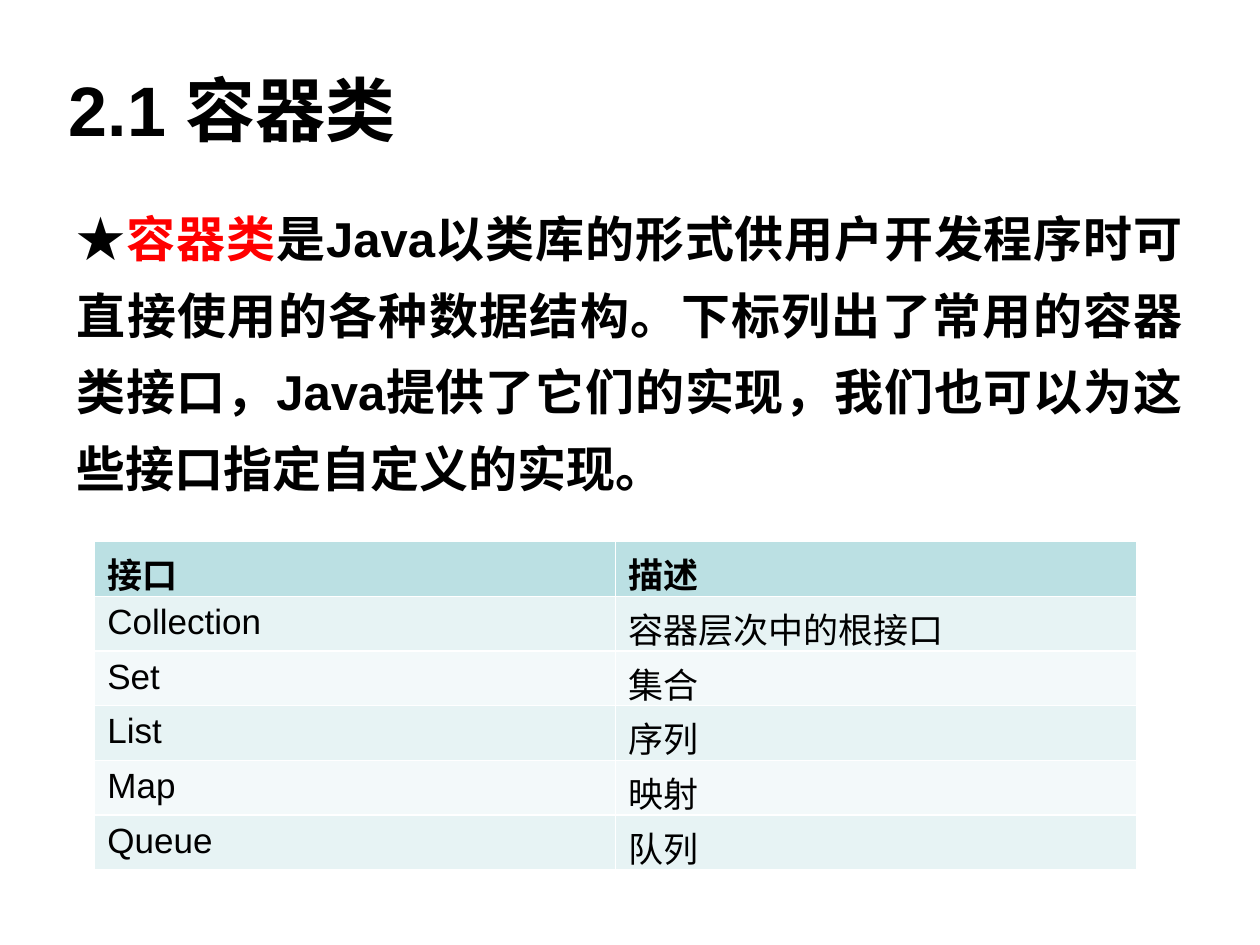
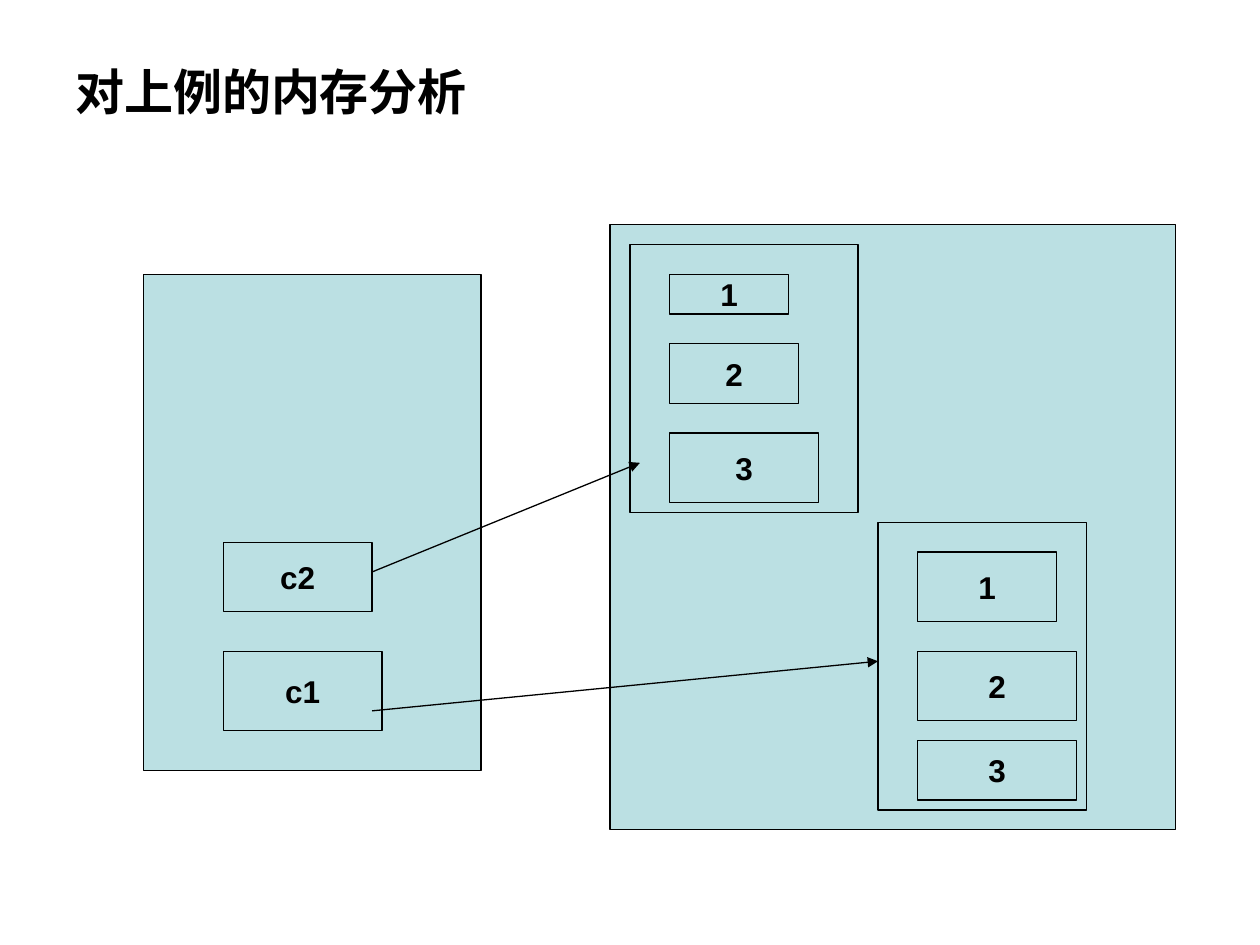
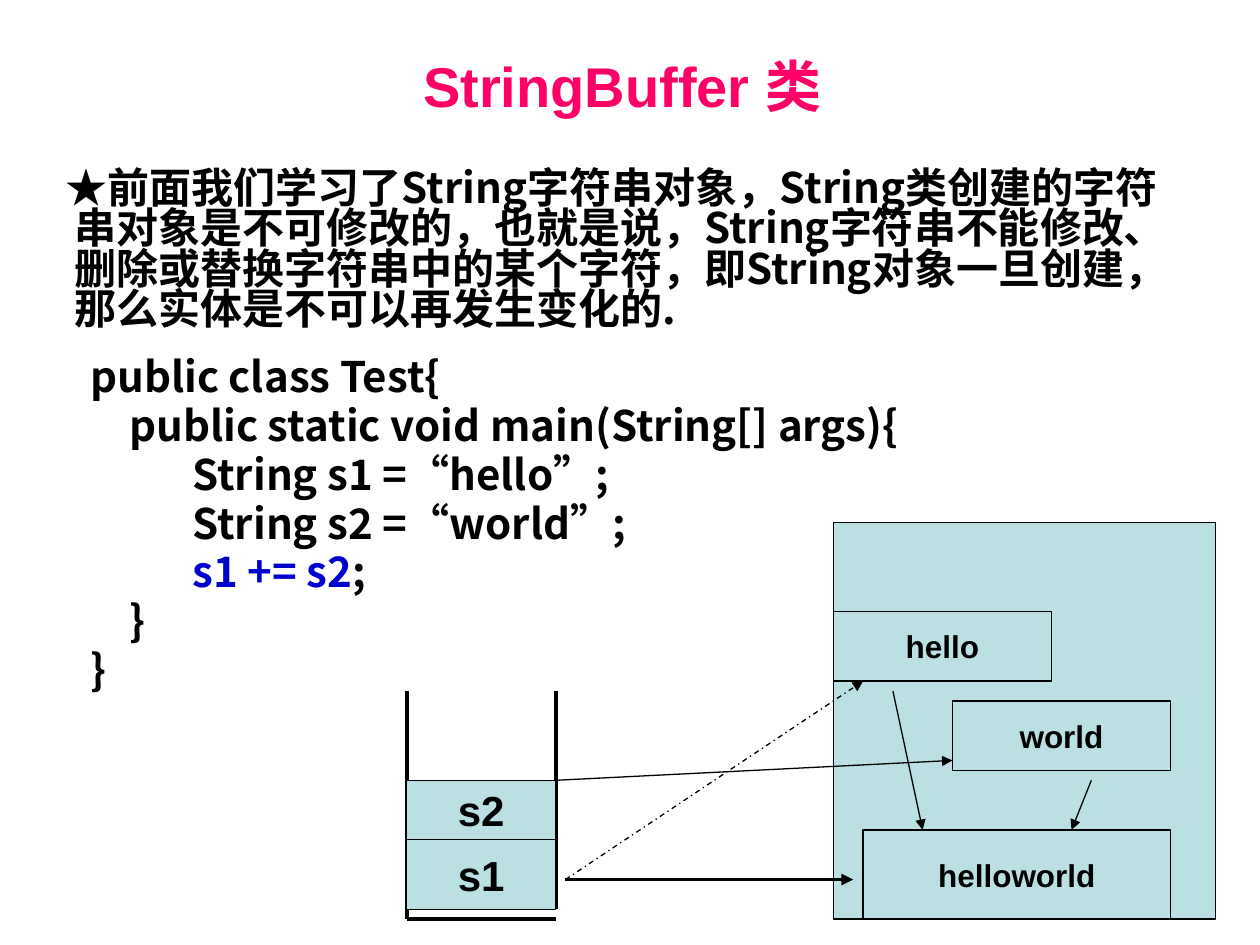
from lxml import etree
from pptx import Presentation
from pptx.dml.color import RGBColor
from pptx.enum.dml import MSO_LINE
from pptx.enum.shapes import MSO_CONNECTOR, MSO_SHAPE
from pptx.enum.text import MSO_ANCHOR, PP_ALIGN
from pptx.oxml.ns import qn
from pptx.util import Cm, Pt

BLACK = RGBColor(0x00, 0x00, 0x00)
RED = RGBColor(0xFF, 0x00, 0x00)
PINK = RGBColor(0xFF, 0x00, 0x66)
BLUE = RGBColor(0x00, 0x00, 0xCC)
TEAL = RGBColor(0xBB, 0xE0, 0xE3)
BAND_DARK = RGBColor(0xE7, 0xF3, 0xF4)
BAND_LIGHT = RGBColor(0xF3, 0xF9, 0xFA)

LATIN_FONT = "Arial"
CJK_FONT = "Noto Sans CJK SC"
THIN, THICK = Pt(0.75), Pt(2.25)

LEFT, CENTER, JUSTIFY = PP_ALIGN.LEFT, PP_ALIGN.CENTER, PP_ALIGN.JUSTIFY
TOP, MIDDLE = MSO_ANCHOR.TOP, MSO_ANCHOR.MIDDLE
RECTANGLE = MSO_SHAPE.RECTANGLE
STRAIGHT = MSO_CONNECTOR.STRAIGHT
DASH_DOT = MSO_LINE.DASH_DOT

INTERFACES = [
    ("接口", "描述"),
    ("Collection", "容器层次中的根接口"),
    ("Set", "集合"),
    ("List", "序列"),
    ("Map", "映射"),
    ("Queue", "队列"),
]

CODE_LINES = [
    [("public class Test{", BLACK)],
    [("\tpublic static void main(String[] args){", BLACK)],
    [("\t\tString s1 =“hello”;", BLACK)],
    [("\t\tString s2 =“world”;", BLACK)],
    [("\t\t", BLACK), ("s1 += s2", BLUE), (";", BLACK)],
    [("\t}", BLACK)],
    [("}", BLACK)],
]


def style_run(run, size, color=BLACK, bold=True, font=LATIN_FONT):
    run.font.size = Pt(size)
    run.font.bold = bold
    run.font.color.rgb = color
    run.font.name = font
    east_asian = etree.SubElement(run.font._element, qn("a:ea"))
    east_asian.set("typeface", CJK_FONT)


def add_run(paragraph, text, *style, **options):
    run = paragraph.add_run()
    run.text = text
    style_run(run, *style, **options)


def set_indent(paragraph, margin, first_line):
    properties = paragraph._p.get_or_add_pPr()
    properties.set("marL", str(Cm(margin)))
    properties.set("indent", str(Cm(first_line)))


def add_frame(slide, box, anchor=TOP):
    frame = slide.shapes.add_textbox(*map(Cm, box)).text_frame
    frame.word_wrap = True
    frame.vertical_anchor = anchor
    return frame


def add_title(slide, box, text, size, color=BLACK, align=LEFT):
    heading = add_frame(slide, box, MIDDLE).paragraphs[0]
    heading.text = text
    heading.alignment = align
    style_run(heading.runs[0], size, color)


def add_cell(slide, box, label="", size=18):
    """Draw one memory region, with its label in the middle."""
    cell = slide.shapes.add_shape(RECTANGLE, *map(Cm, box))
    cell.shadow.inherit = False
    cell.fill.solid()
    cell.fill.fore_color.rgb = TEAL
    cell.line.color.rgb = BLACK
    cell.line.width = THIN
    if label:
        frame = cell.text_frame
        frame.word_wrap = False
        frame.vertical_anchor = MIDDLE
        frame.text = label
        frame.paragraphs[0].alignment = CENTER
        style_run(frame.paragraphs[0].runs[0], size)


def add_line(slide, start, end, width=THIN, dash=None):
    line = slide.shapes.add_connector(STRAIGHT, *map(Cm, start + end))
    line.line.color.rgb = BLACK
    line.line.width = width
    if dash:
        line.line.dash_style = dash
    etree.SubElement(line._element.spPr, qn("a:effectLst"))
    return line


def add_arrow(slide, start, end, **options):
    arrow = add_line(slide, start, end, **options)
    head = etree.SubElement(arrow.line._get_or_add_ln(), qn("a:tailEnd"))
    head.set("type", "triangle")


def add_interface_table(slide, box):
    table = slide.shapes.add_table(len(INTERFACES), 2, *map(Cm, box)).table
    for row, texts in enumerate(INTERFACES):
        band = TEAL if row == 0 else BAND_DARK if row % 2 else BAND_LIGHT
        for column, text in enumerate(texts):
            cell = table.cell(row, column)
            cell.fill.solid()
            cell.fill.fore_color.rgb = band
            cell.text = text
            style_run(cell.text_frame.paragraphs[0].runs[0], 20, bold=row == 0)


def add_container_intro(slide, box):
    intro = add_frame(slide, box).paragraphs[0]
    intro.alignment = JUSTIFY
    intro.line_spacing = 1.3
    add_run(intro, "★", 28, bold=False)
    add_run(intro, "容器类", 28, RED)
    add_run(intro, "是Java以类库的形式供用户开发程序时可直接使用的各种数据结构。"
            "下标列出了常用的容器类接口，Java提供了它们的实现，"
            "我们也可以为这些接口指定自定义的实现。", 28)


def add_collection(slide, box, elements):
    """Draw a collection object; elements are (label, top, width, height)."""
    left, top = box[:2]
    add_cell(slide, box)
    for label, offset, width, height in elements:
        add_cell(slide, (left + 0.8, top + offset, width, height), label)


def add_collection_memory(slide, box):
    left, top = box[:2]
    add_cell(slide, (left, top + 1, 6.8, 10))
    add_cell(slide, (left + 9.4, top, 11.4, 12.2))
    add_cell(slide, (left + 1.6, top + 6.4, 3, 1.4), "c2")
    add_cell(slide, (left + 1.6, top + 8.6, 3.2, 1.6), "c1")
    add_collection(slide, (left + 9.8, top + 0.4, 4.6, 5.4),
                   [("1", 0.6, 2.4, 0.8), ("2", 2, 2.6, 1.2), ("3", 3.8, 3, 1.4)])
    add_collection(slide, (left + 14.8, top + 6, 4.2, 5.8),
                   [("1", 0.6, 2.8, 1.4), ("2", 2.6, 3.2, 1.4), ("3", 4.4, 3.2, 1.2)])
    add_arrow(slide, (left + 4.6, top + 7), (left + 10, top + 4.8))
    add_arrow(slide, (left + 4.6, top + 9.8), (left + 14.8, top + 8.8))


def add_string_explanation(slide, box):
    frame = add_frame(slide, box)
    intro = frame.paragraphs[0]
    intro.line_spacing = 0.8
    set_indent(intro, 0.95, -0.17)
    add_run(intro, "★", 24, bold=False)
    add_run(intro, "前面我们学习了String字符串对象，String类创建的字符串对象是不可修改的，"
            "也就是说，String字符串不能修改、删除或替换字符串中的某个字符，"
            "即String对象一旦创建，那么实体是不可以再发生变化的.", 24, font=CJK_FONT)
    for number, pieces in enumerate(CODE_LINES):
        code = frame.add_paragraph()
        code.line_spacing = 0.8
        code.space_before = Pt(4.8 if number else 16)
        set_indent(code, 2.06, -0.79)
        for text, color in pieces:
            add_run(code, text, 24, color, font=CJK_FONT)


def add_stack(slide, box):
    left, top, width, height = box
    right, bottom = left + width, top + height
    add_line(slide, (left, bottom), (right, bottom), width=THICK)
    add_line(slide, (left, top), (left, bottom), width=THICK)
    add_line(slide, (right, top), (right, bottom - 0.2), width=THICK)
    add_cell(slide, (left, top + 1.8, width, 1.2), "s2", 24)
    add_cell(slide, (left, top + 3, width, 1.4), "s1", 24)


def add_heap(slide, box):
    left, top = box[:2]
    add_cell(slide, box)
    add_cell(slide, (left, top + 1.8, 4.4, 1.4), "hello")
    add_cell(slide, (left + 2.4, top + 3.6, 4.4, 1.4), "world")
    add_cell(slide, (left + 0.6, top + 6.2, 6.2, 1.8), "helloworld")


def add_string_memory(slide, box):
    left, top = box[:2]
    add_heap(slide, (left + 8.6, top, 7.7, 8))
    add_stack(slide, (left, top + 3.4, 3, 4.6))
    s1_exit = (left + 3.2, top + 7.2)
    add_arrow(slide, s1_exit, (left + 9.2, top + 3.2), dash=DASH_DOT)
    add_arrow(slide, (left + 3, top + 5.2), (left + 11, top + 4.8))
    add_arrow(slide, (left + 9.8, top + 3.4), (left + 10.4, top + 6.2))
    add_arrow(slide, (left + 13.8, top + 5.2), (left + 13.4, top + 6.2))
    add_arrow(slide, s1_exit, (left + 9, top + 7.2), width=THICK)


def build_container_slide(slide):
    add_title(slide, (1.14, 0.91, 12.4, 2.54), "2.1 容器类", 40)
    add_container_intro(slide, (1.3, 3.73, 22.8, 6.25))
    add_interface_table(slide, (1.91, 10.92, 21, 6.6))


def build_memory_slide(slide):
    add_title(slide, (1.27, 0.76, 22.86, 2.16), "对上例的内存分析", 28)
    add_collection_memory(slide, (2.9, 4.53, 20.8, 12.2))


def build_string_slide(slide):
    add_title(slide, (1.12, 0.13, 22.86, 3.18), "StringBuffer 类", 32, PINK, CENTER)
    add_string_explanation(slide, (0.3, 3.33, 23.8, 14.4))
    add_string_memory(slide, (8.2, 10.53, 16.3, 8))


def main():
    deck = Presentation()
    deck.slide_width, deck.slide_height = Cm(25.4), Cm(19.05)
    blank = deck.slide_layouts[6]
    for build in (build_container_slide, build_memory_slide, build_string_slide):
        build(deck.slides.add_slide(blank))
    deck.save("out.pptx")


if __name__ == "__main__":
    main()
